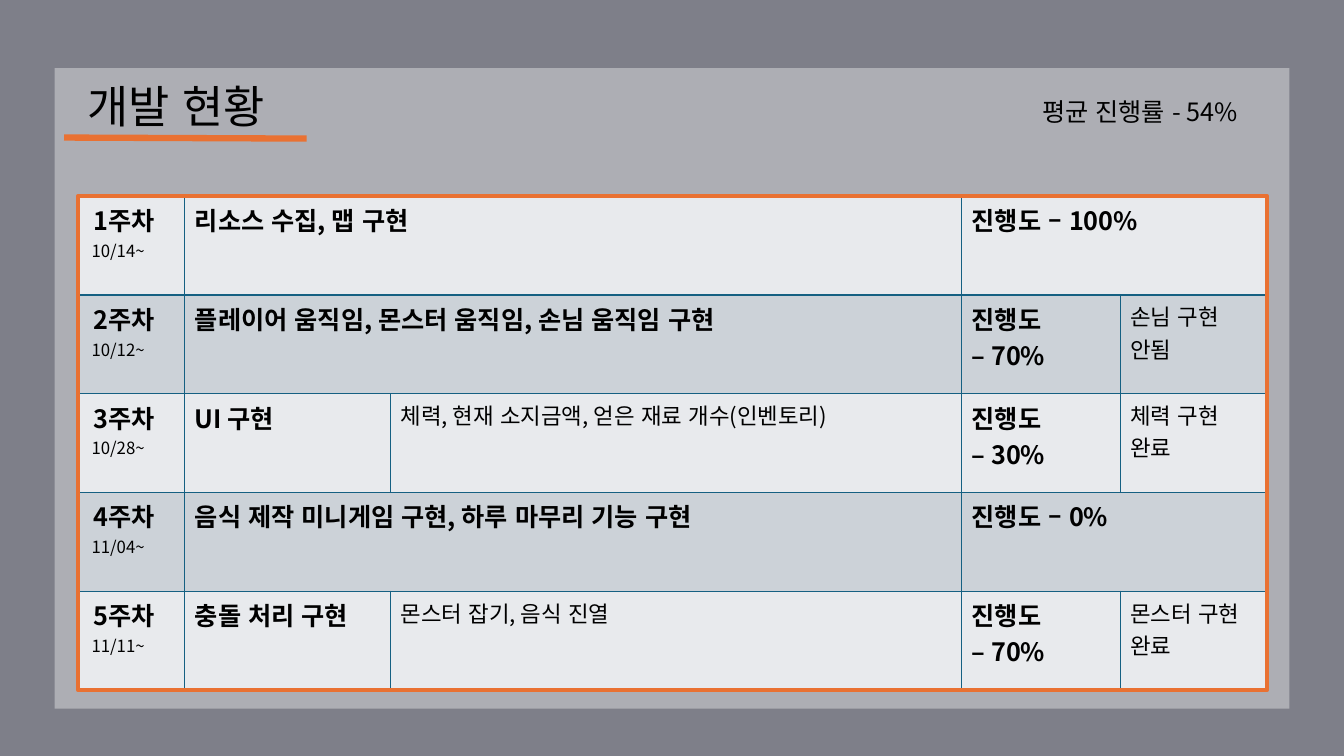
from dataclasses import dataclass

from lxml.etree import SubElement
from pptx import Presentation
from pptx.dml.color import RGBColor
from pptx.enum.lang import MSO_LANGUAGE_ID as Lang
from pptx.enum.shapes import MSO_CONNECTOR as Conn, MSO_SHAPE as Shape
from pptx.enum.text import MSO_AUTO_SIZE as AutoSize
from pptx.oxml.ns import qn
from pptx.util import Emu, Pt

EMU_PER_PX = 9525
FONT = "Noto Sans CJK KR"
COLORS = {
    "background": "7E7F89",
    "panel": "FFFFFF",
    "text": "000000",
    "accent": "E97132",
    "border": "156082",
    "light": "E8EAED",
    "dark": "CCD2D8",
}
COLUMN_WIDTHS = [102, 196, 544, 151, 140]
ROW_HEIGHT = 94


@dataclass(frozen=True)
class Box:
    left: int
    top: int
    width: int
    height: int

    def emu(self) -> list[Emu]:
        return [px(v) for v in (self.left, self.top, self.width, self.height)]


@dataclass(frozen=True)
class Label:
    box: Box
    text: str
    size: int


@dataclass(frozen=True)
class Week:
    number: int
    start: str
    task: str
    progress: list[str]
    detail: str = ""
    note: str = ""


TABLE_BOX = Box(74, 187, sum(COLUMN_WIDTHS), 5 * ROW_HEIGHT)
LABELS = [
    Label(Box(74, 70, 206, 61), "개발 현황", 32),
    Label(Box(983, 87, 223, 38), "평균 진행률 - 54%", 18),
]
WEEKS = [
    Week(1, "10/14", "리소스 수집, 맵 구현", ["진행도 – 100%"]),
    Week(2, "10/12", "플레이어 움직임, 몬스터 움직임, 손님 움직임 구현",
         ["진행도", "– 70%"], note="손님 구현 안됨"),
    Week(3, "10/28", "UI 구현", ["진행도", "– 30%"],
         "체력, 현재 소지금액, 얻은 재료 개수(인벤토리)", "체력 구현 완료"),
    Week(4, "11/04", "음식 제작 미니게임 구현, 하루 마무리 기능 구현", ["진행도 – 0%"]),
    Week(5, "11/11", "충돌 처리 구현", ["진행도", "– 70%"],
         "몬스터 잡기, 음식 진열", "몬스터 구현 완료"),
]


def px(value: int) -> Emu:
    return Emu(value * EMU_PER_PX)


def rgb(name: str) -> RGBColor:
    return RGBColor.from_string(COLORS[name])


def add_run(p, text: str, size: int, bold: bool = False) -> None:
    r = p.add_run()
    r.text = text
    r.font.size = Pt(size)
    r.font.bold = bold
    r.font.name = FONT
    r.font.language_id = Lang.KOREAN
    r.font.color.rgb = rgb("text")
    SubElement(r.font._element, qn("a:ea"), typeface=FONT)


def add_label(s, label: Label) -> None:
    tf = s.shapes.add_textbox(*label.box.emu()).text_frame
    tf.word_wrap = False
    tf.auto_size = AutoSize.SHAPE_TO_FIT_TEXT
    add_run(tf.paragraphs[0], label.text, label.size)


def add_panel(s, box: Box) -> None:
    sp = s.shapes.add_shape(Shape.RECTANGLE, *box.emu())
    sp.shadow.inherit = False
    sp.fill.solid()
    sp.fill.fore_color.rgb = rgb("panel")
    sp.line.fill.background()
    color = sp._element.spPr.find(f"{qn('a:solidFill')}/{qn('a:srgbClr')}")
    SubElement(color, qn("a:alpha"), val="37000")


def add_frame(s, box: Box) -> None:
    sp = s.shapes.add_shape(Shape.RECTANGLE, *box.emu())
    sp.shadow.inherit = False
    sp.fill.background()
    sp.line.color.rgb = rgb("accent")
    sp.line.width = Pt(3)


def add_underline(s, x1: int, y1: int, x2: int, y2: int) -> None:
    line = s.shapes.add_connector(Conn.STRAIGHT, px(x1), px(y1), px(x2), px(y2))
    line.line.color.rgb = rgb("accent")
    line.line.width = Pt(4.5)
    SubElement(line._element.spPr, qn("a:effectLst"))


def style_cell(cell, fill: str) -> None:
    tc_pr = cell._tc.get_or_add_tcPr()
    for side in ("lnL", "lnR", "lnT", "lnB"):
        ln = SubElement(tc_pr, qn(f"a:{side}"), w=str(Pt(1)))
        solid = SubElement(ln, qn("a:solidFill"))
        SubElement(solid, qn("a:srgbClr"), val=COLORS["border"])
    cell.fill.solid()
    cell.fill.fore_color.rgb = rgb(fill)


def write_cell(cell, lines: list[tuple[str, int, bool]]) -> None:
    tf = cell.text_frame
    for i, (text, size, bold) in enumerate(lines):
        p = tf.add_paragraph() if i else tf.paragraphs[0]
        add_run(p, text, size, bold)


def fill_week(table, row: int, week: Week) -> None:
    for col in range(len(COLUMN_WIDTHS)):
        style_cell(table.cell(row, col), "dark" if row % 2 else "light")
    write_cell(table.cell(row, 0),
               [(f" {week.number}주차", 18, True), (f" {week.start}~", 12, False)])
    write_cell(table.cell(row, 1), [(week.task, 18, True)])
    write_cell(table.cell(row, 3), [(text, 18, True) for text in week.progress])
    for col, text in ((2, week.detail), (4, week.note)):
        if text:
            write_cell(table.cell(row, col), [(text, 16, False)])
        else:
            table.cell(row, col - 1).merge(table.cell(row, col))


def add_schedule(s, box: Box) -> None:
    shape = s.shapes.add_table(len(WEEKS), len(COLUMN_WIDTHS), *box.emu())
    table = shape.table
    table.first_row = False
    table.horz_banding = False
    for column, width in zip(table.columns, COLUMN_WIDTHS):
        column.width = px(width)
    for i, week in enumerate(WEEKS):
        table.rows[i].height = px(ROW_HEIGHT)
        fill_week(table, i, week)


def main() -> None:
    prs = Presentation()
    prs.slide_width, prs.slide_height = px(1280), px(720)
    s = prs.slides.add_slide(prs.slide_layouts[6])
    s.background.fill.solid()
    s.background.fill.fore_color.rgb = rgb("background")
    add_panel(s, Box(52, 65, 1176, 610))
    add_schedule(s, TABLE_BOX)
    add_underline(s, 61, 131, 292, 132)
    add_frame(s, TABLE_BOX)
    for label in LABELS:
        add_label(s, label)
    prs.save("out.pptx")


if __name__ == "__main__":
    main()
